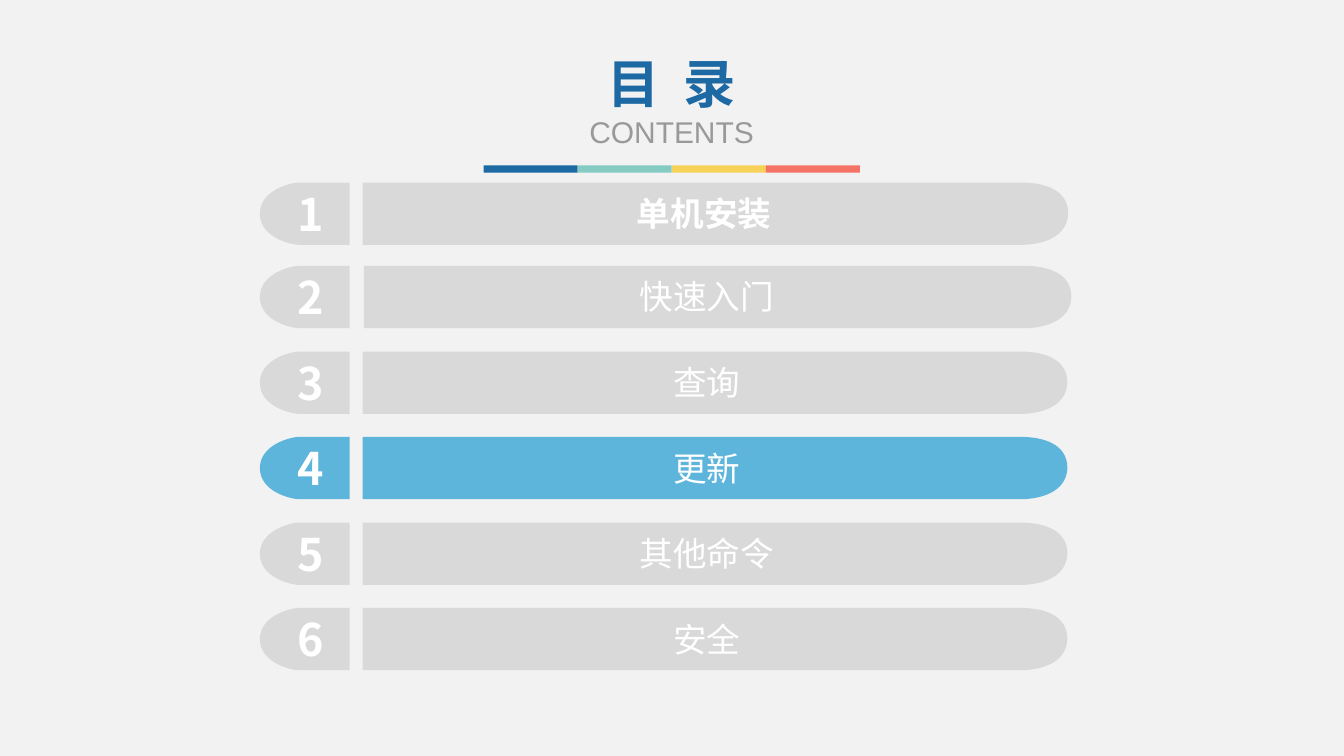
from pptx import Presentation
from pptx.dml.color import RGBColor
from pptx.enum.shapes import MSO_SHAPE
from pptx.enum.text import PP_ALIGN
from pptx.oxml.xmlchemy import OxmlElement
from pptx.util import Cm, Pt

BACKGROUND = RGBColor(0xF2, 0xF2, 0xF2)
BLUE = RGBColor(0x1D, 0x69, 0xA3)
TEAL = RGBColor(0x84, 0xCB, 0xC3)
YELLOW = RGBColor(0xF8, 0xD1, 0x58)
CORAL = RGBColor(0xF5, 0x73, 0x65)
GRAY = RGBColor(0x99, 0x99, 0x99)
INACTIVE = RGBColor(0xD9, 0xD9, 0xD9)
ACTIVE = RGBColor(0x5D, 0xB5, 0xDB)
WHITE = RGBColor(0xFF, 0xFF, 0xFF)

ROW_HEIGHT = 1.57
CAP_CURVE = ((0.18, 1), (1, 0.89), (1, 0.5), (1, 0.13), (0.23, 0), (0, 0))
BAR_CURVE = ((0.39, 1), (0.98, 0.9), (1, 0.5), (1, 0.11), (0.48, 0), (0, 0))
ROWS = [
    (4.6, 9.14, 26.92, 9.3, 16.89, "单机安装"),
    (6.7, 9.17, 27, 9.3, 17.02, "快速入门"),
    (8.86, 9.14, 26.9, 9.25, 17.12, "查询"),
    (11.01, 9.14, 26.9, 9.25, 17.12, "更新"),
    (13.17, 9.14, 26.9, 9.25, 17.12, "其他命令"),
    (15.32, 9.14, 26.9, 9.25, 17.12, "安全"),
]
ACTIVE_ROW = 4


class ContentsSlide:
    """Draw the elements of a contents slide in one style."""

    font = "Noto Sans CJK SC"

    def __init__(self, prs):
        self.s = prs.slides.add_slide(prs.slide_layouts[6])
        self.s.background.fill.solid()
        self.s.background.fill.fore_color.rgb = BACKGROUND

    def paint(self, sp, color):
        sp.shadow.inherit = False
        sp.fill.solid()
        sp.fill.fore_color.rgb = color
        sp.line.fill.background()

    def stripe(self, left, top, width, height, color):
        sp = self.s.shapes.add_shape(MSO_SHAPE.RECTANGLE, Cm(left), Cm(top), Cm(width), Cm(height))
        self.paint(sp, color)

    def pill(self, flat, shoulder, tip, top, curve, color):
        bottom = top + ROW_HEIGHT
        points = [(flat, bottom), (shoulder, bottom)]
        points += [(shoulder + x * (tip - shoulder), top + y * ROW_HEIGHT) for x, y in curve]
        builder = self.s.shapes.build_freeform(Cm(flat), Cm(top))
        builder.add_line_segments([(Cm(x), Cm(y)) for x, y in points], close=True)
        sp = builder.convert_to_shape()
        lines = sp._element.xpath(".//a:lnTo")[2:8]
        for group in (lines[:3], lines[3:]):
            bezier = OxmlElement("a:cubicBezTo")
            group[0].addprevious(bezier)
            for line in group:
                bezier.append(line[0])
                line.getparent().remove(line)
        self.paint(sp, color)

    def text(self, left, top, width, height, wrap=True):
        tf = self.s.shapes.add_textbox(Cm(left), Cm(top), Cm(width), Cm(height)).text_frame
        tf.word_wrap = wrap
        return tf

    def run(self, p, text, size, color, bold=False, font=None):
        p.alignment = PP_ALIGN.CENTER
        r = p.add_run()
        r.text = text
        r.font.size = Pt(size)
        r.font.bold = bold
        r.font.color.rgb = color
        r.font.name = font or self.font
        return r

    def title(self):
        tf = self.text(14.18, 1.16, 5.49, 2.77)
        p = tf.paragraphs[0]
        for part in ("目", " ", "录"):
            r = self.run(p, part, 37.4, BLUE, True, "Roboto Condensed")
            if part == " ":
                r.font._element.set("spc", "830")
        self.run(tf.add_paragraph(), "CONTENTS", 21.4, GRAY, font="Arial")

    def row(self, number, top, left, right, label_left, label_width, label):
        color = ACTIVE if number == ACTIVE_ROW else INACTIVE
        self.pill(left, right - 1.18, right, top, BAR_CURVE, color)
        self.pill(8.81, 7.54, 6.55, top, CAP_CURVE, color)
        tf = self.text(7.22, top - 0.02, 1.22, 1.63, wrap=False)
        self.run(tf.paragraphs[0], str(number), 32, WHITE, True)
        tf = self.text(label_left, top + 0.14, label_width, 1.27)
        self.run(tf.paragraphs[0], label, 24, WHITE, number == 1)


def main():
    prs = Presentation()
    prs.slide_width, prs.slide_height = Cm(33.87), Cm(19.05)
    slide = ContentsSlide(prs)
    for i, color in enumerate((BLUE, TEAL, YELLOW, CORAL)):
        slide.stripe(12.19 + i * 2.37, 4.17, 2.37, 0.18, color)
    slide.title()
    for number, row in enumerate(ROWS, 1):
        slide.row(number, *row)
    prs.save("out.pptx")


if __name__ == "__main__":
    main()
